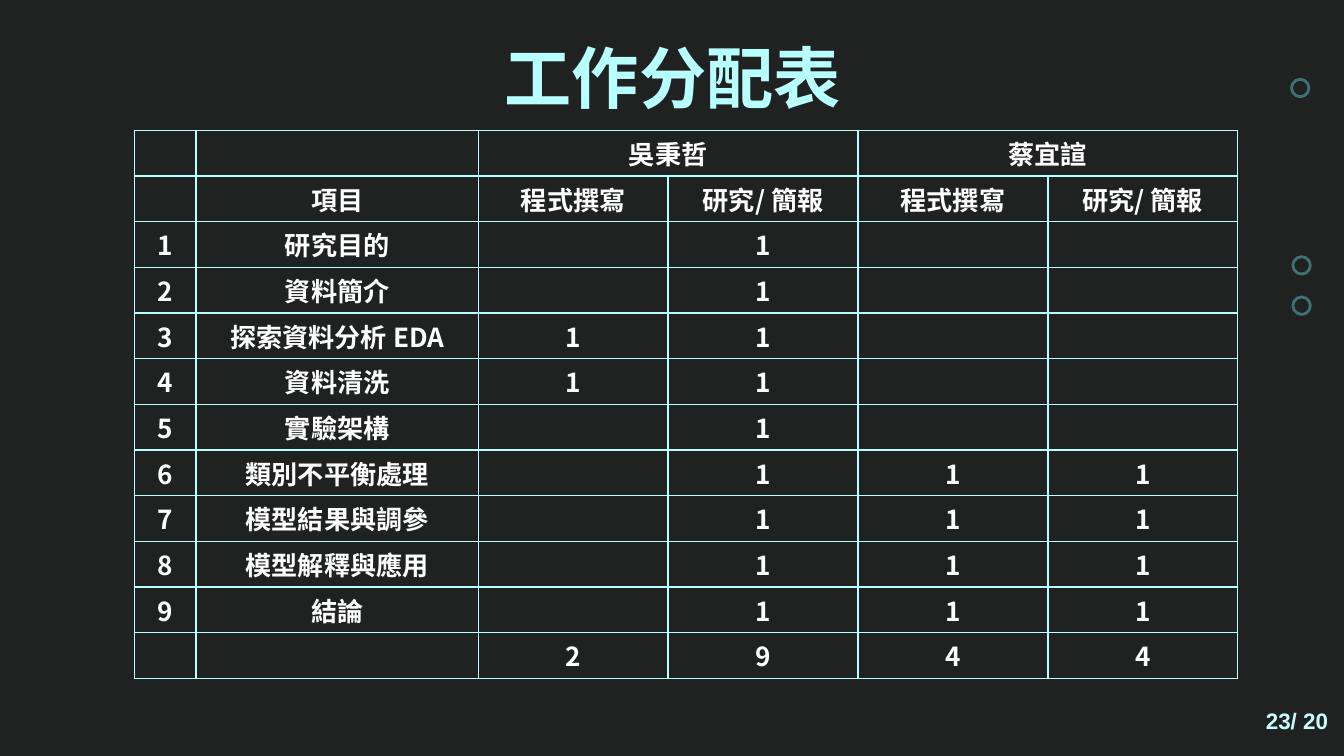
from dataclasses import dataclass

from lxml.etree import SubElement
from pptx import Presentation
from pptx.dml.color import RGBColor
from pptx.enum.shapes import MSO_SHAPE
from pptx.enum.text import MSO_ANCHOR, MSO_AUTO_SIZE, PP_ALIGN
from pptx.oxml.ns import qn
from pptx.slide import Slide
from pptx.table import _Cell
from pptx.text.text import TextFrame
from pptx.util import Inches, Pt


@dataclass(frozen=True)
class Theme:
    background: str = "202222"
    accent: str = "B8FFFF"
    number: str = "C7FFFF"
    ring: str = "3D7272"
    body: str = "FFFFFF"
    title_font: str = "Noto Sans CJK SC"
    table_font: str = "Noto Sans CJK TC"
    number_font: str = "Arial"
    title_size: int = 36
    table_size: int = 14
    number_size: int = 12


@dataclass(frozen=True)
class Task:
    name: str
    marks: tuple[int, int, int, int]  # code and research, for each member


@dataclass(frozen=True)
class Ring:
    left: float
    top: float


THEME = Theme()
RINGS = [Ring(9.61, 0.59), Ring(9.62, 1.91), Ring(9.62, 2.21)]
RING_SIZE = 0.13
MEMBERS = ["吳秉哲", "蔡宜諠"]
ROLES = ["程式撰寫", "研究/ 簡報"]
TASKS = [
    Task("研究目的", (0, 1, 0, 0)),
    Task("資料簡介", (0, 1, 0, 0)),
    Task("探索資料分析 EDA", (1, 1, 0, 0)),
    Task("資料清洗", (1, 1, 0, 0)),
    Task("實驗架構", (0, 1, 0, 0)),
    Task("類別不平衡處理", (0, 1, 1, 1)),
    Task("模型結果與調參", (0, 1, 1, 1)),
    Task("模型解釋與應用", (0, 1, 1, 1)),
    Task("結論", (0, 1, 1, 1)),
]
TABLE_WIDTH = 8.21
LABEL_WIDTHS = [0.46, 2.1]
# The four mark columns share what the labels leave
COLUMN_WIDTHS = LABEL_WIDTHS + [(TABLE_WIDTH - sum(LABEL_WIDTHS)) / 4] * 4
ROW_HEIGHT = 0.34


def write_text(frame: TextFrame, text: str, *, font: str, size: int, color: str,
               align: PP_ALIGN, line_spacing: float | None = None) -> None:
    para = frame.paragraphs[0]
    para.alignment = align
    if line_spacing:
        para.line_spacing = line_spacing
    span = para.add_run()
    span.text = text
    span.font.name = font
    span.font.size = Pt(size)
    span.font.bold = True
    span.font.color.rgb = RGBColor.from_string(color)
    # East Asian characters take their own typeface entry
    SubElement(span.font._element, qn("a:ea"), typeface=font)


def draw_ring(page: Slide, ring: Ring) -> None:
    shape = page.shapes.add_shape(MSO_SHAPE.OVAL, Inches(ring.left), Inches(ring.top),
                                  Inches(RING_SIZE), Inches(RING_SIZE))
    shape.shadow.inherit = False
    shape.fill.background()
    shape.line.color.rgb = RGBColor.from_string(THEME.ring)
    shape.line.width = Pt(1.5)


def add_borders(cell: _Cell) -> None:
    properties = cell._tc.get_or_add_tcPr()
    for side in ("lnL", "lnR", "lnT", "lnB"):
        line = SubElement(properties, qn(f"a:{side}"), w=str(Pt(1)))
        fill = SubElement(line, qn("a:solidFill"))
        SubElement(fill, qn("a:srgbClr"), val=THEME.accent)


def format_cell(cell: _Cell, text: str) -> None:
    add_borders(cell)
    cell.fill.background()
    cell.vertical_anchor = MSO_ANCHOR.MIDDLE
    cell.margin_left = cell.margin_right = Inches(0.02)
    cell.margin_top = cell.margin_bottom = 0
    if text:
        write_text(cell.text_frame, text, font=THEME.table_font, size=THEME.table_size,
                   color=THEME.body, align=PP_ALIGN.CENTER)


def table_rows() -> list[list[str]]:
    rows = [["", "", MEMBERS[0], "", MEMBERS[1], ""], ["", "項目"] + ROLES * 2]
    for number, task in enumerate(TASKS, start=1):
        rows.append([str(number), task.name] + [str(mark or "") for mark in task.marks])
    totals = [sum(column) for column in zip(*(task.marks for task in TASKS))]
    rows.append(["", ""] + [str(total) for total in totals])
    return rows


def draw_table(page: Slide) -> None:
    rows = table_rows()
    table = page.shapes.add_table(
        len(rows), len(COLUMN_WIDTHS), Inches(1), Inches(0.97),
        Inches(TABLE_WIDTH), Inches(ROW_HEIGHT * len(rows))).table
    table.first_row = table.horz_banding = False
    for column, width in zip(table.columns, COLUMN_WIDTHS):
        column.width = Inches(width)
    for row_index, texts in enumerate(rows):
        table.rows[row_index].height = Inches(ROW_HEIGHT)
        for column_index, text in enumerate(texts):
            format_cell(table.cell(row_index, column_index), text)
    # Each member heads two columns
    for start in (2, 4):
        table.cell(0, start).merge(table.cell(0, start + 1))


def draw_title(page: Slide) -> None:
    title = page.shapes.title
    title.left, title.top = Inches(0.79), Inches(0.19)
    title.width, title.height = Inches(8.43), Inches(0.63)
    frame = title.text_frame
    frame.auto_size = MSO_AUTO_SIZE.NONE
    frame.vertical_anchor = MSO_ANCHOR.TOP
    frame.margin_left = frame.margin_right = Inches(0.1)
    frame.margin_top, frame.margin_bottom = Inches(0.15), Inches(0.1)
    write_text(frame, "工作分配表", font=THEME.title_font, size=THEME.title_size,
               color=THEME.accent, align=PP_ALIGN.CENTER, line_spacing=0.9)


def draw_page_number(page: Slide) -> None:
    box = page.shapes.add_textbox(Inches(7.73), Inches(5.21), Inches(2.25), Inches(0.3))
    frame = box.text_frame
    frame.word_wrap = True
    frame.vertical_anchor = MSO_ANCHOR.MIDDLE
    write_text(frame, "23/ 20", font=THEME.number_font, size=THEME.number_size,
               color=THEME.number, align=PP_ALIGN.RIGHT)


def main() -> None:
    deck = Presentation()
    # Wide page, 16:9
    deck.slide_width, deck.slide_height = Inches(10), Inches(10 * 9 / 16)
    page = deck.slides.add_slide(deck.slide_layouts[5])
    page.background.fill.solid()
    page.background.fill.fore_color.rgb = RGBColor.from_string(THEME.background)
    for ring in RINGS:
        draw_ring(page, ring)
    draw_title(page)
    draw_page_number(page)
    draw_table(page)
    deck.save("out.pptx")


if __name__ == "__main__":
    main()
